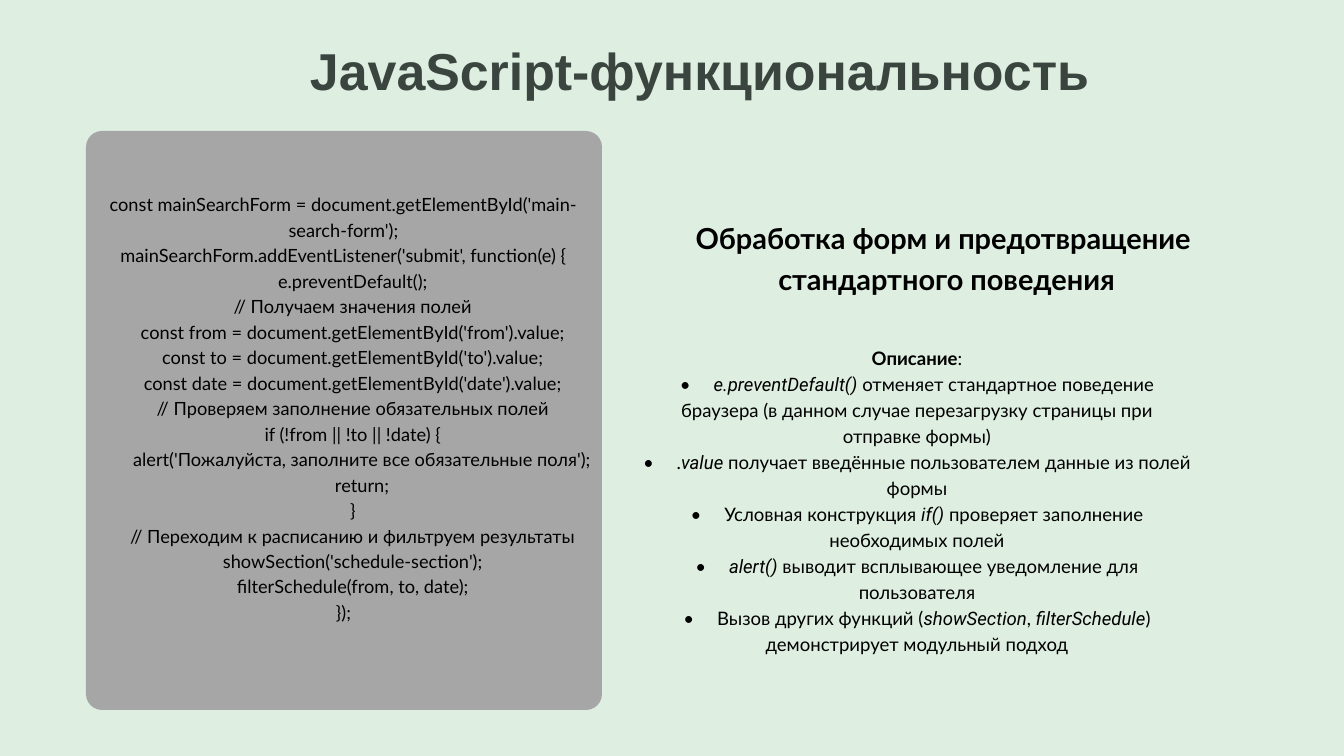
from dataclasses import dataclass
from typing import NamedTuple

from pptx import Presentation
from pptx.dml.color import RGBColor as Rgb
from pptx.enum.shapes import MSO_SHAPE as Shape
from pptx.enum.text import MSO_AUTO_SIZE as AutoSize, PP_ALIGN as Align
from pptx.util import Emu, Pt

EMU_PER_PX = 914400 / 67.2


def px(value: int) -> Emu:
    return Emu(round(value * EMU_PER_PX))


# Theme
@dataclass(frozen=True)
class Theme:
    background: str = "DEEEE1"
    panel: str = "A6A6A6"
    title: str = "3B4540"
    text: str = "000000"
    title_font: str = "Arial"
    body_font: str = "Lato"
    term_font: str = "Roboto"
    title_size: float = 55.6
    heading_size: float = 31
    code_size: float = 19.5
    description_size: float = 19.9


THEME = Theme()


class Box(NamedTuple):
    left: int
    top: int
    width: int
    height: int

    def emu(self) -> tuple[Emu, ...]:
        return tuple(px(value) for value in self)


class Span(NamedTuple):
    text: str
    bold: bool = False
    term: bool = False


# Content
TITLE = "JavaScript-функциональность"
HEADING = ["Обработка форм и предотвращение ", "стандартного поведения"]
CODE = """\
const mainSearchForm = document.getElementById('main-search-form');
mainSearchForm.addEventListener('submit', function(e) {
    e.preventDefault();
    // Получаем значения полей
    const from = document.getElementById('from').value;
    const to = document.getElementById('to').value;
    const date = document.getElementById('date').value;
    // Проверяем заполнение обязательных полей
    if (!from || !to || !date) {
        alert('Пожалуйста, заполните все обязательные поля');
        return;
    }
    // Переходим к расписанию и фильтруем результаты
    showSection('schedule-section');
    filterSchedule(from, to, date);
});"""
POINTS = [
    [Span("e.preventDefault()", term=True),
     Span(" отменяет стандартное поведение браузера "
          "(в данном случае перезагрузку страницы при отправке формы)")],
    [Span("."), Span("value", term=True),
     Span(" получает введённые пользователем данные из полей формы")],
    [Span("Условная конструкция "), Span("if()", term=True),
     Span(" проверяет заполнение необходимых полей")],
    [Span("alert()", term=True),
     Span(" выводит всплывающее уведомление для пользователя")],
    [Span("Вызов других функций ("), Span("showSection", term=True), Span(", "),
     Span("filterSchedule", term=True), Span(") демонстрирует модульный подход")],
]


# Drawing
def add_panel(slide, box: Box, *, color: str, radius: int) -> None:
    panel = slide.shapes.add_shape(Shape.ROUNDED_RECTANGLE, *box.emu())
    panel.adjustments[0] = radius / min(box.width, box.height)
    panel.shadow.inherit = False
    panel.fill.solid()
    panel.fill.fore_color.rgb = Rgb.from_string(color)
    panel.line.fill.background()


def add_text(slide, box: Box, paragraphs: list[list[Span]], *, size: float, leading: float,
             font: str = THEME.body_font, color: str = THEME.text,
             align: Align = Align.CENTER) -> None:
    frame = slide.shapes.add_textbox(*box.emu()).text_frame
    frame.word_wrap = True
    frame.auto_size = AutoSize.NONE
    frame.margin_left = frame.margin_top = frame.margin_right = frame.margin_bottom = 0
    for index, spans in enumerate(paragraphs):
        paragraph = frame.add_paragraph() if index else frame.paragraphs[0]
        paragraph.alignment = align
        paragraph.line_spacing = Pt(leading)
        for span in spans:
            run = paragraph.add_run()
            run.text = span.text
            run.font.name = THEME.term_font if span.term else font
            run.font.size = Pt(size)
            run.font.bold = span.bold
            run.font.italic = span.term
            run.font.color.rgb = Rgb.from_string(color)


def main() -> None:
    presentation = Presentation()
    presentation.slide_width, presentation.slide_height = px(1344), px(756)
    slide = presentation.slides.add_slide(presentation.slide_layouts[6])
    slide.background.fill.solid()
    slide.background.fill.fore_color.rgb = Rgb.from_string(THEME.background)

    # Title
    add_text(slide, Box(310, 36, 958, 183), [[Span(TITLE, bold=True)]],
             size=THEME.title_size, leading=69.4, font=THEME.title_font,
             color=THEME.title, align=Align.LEFT)

    # Code panel
    add_panel(slide, Box(86, 131, 516, 579), color=THEME.panel, radius=16)
    add_text(slide, Box(93, 190, 501, 434), [[Span(line)] for line in CODE.splitlines()],
             size=THEME.code_size, leading=27.3)

    # Explanation
    add_text(slide, Box(411, 215, 1071, 81), [[Span(line, bold=True)] for line in HEADING],
             size=THEME.heading_size, leading=43.4)
    # The tab keeps each marker beside its centred first line
    description = [[Span("Описание", bold=True), Span(":")]]
    description += [[Span("•\t"), *point] for point in POINTS]
    add_text(slide, Box(642, 343, 550, 313), description,
             size=THEME.description_size, leading=27.9)

    presentation.save("out.pptx")


if __name__ == "__main__":
    main()
